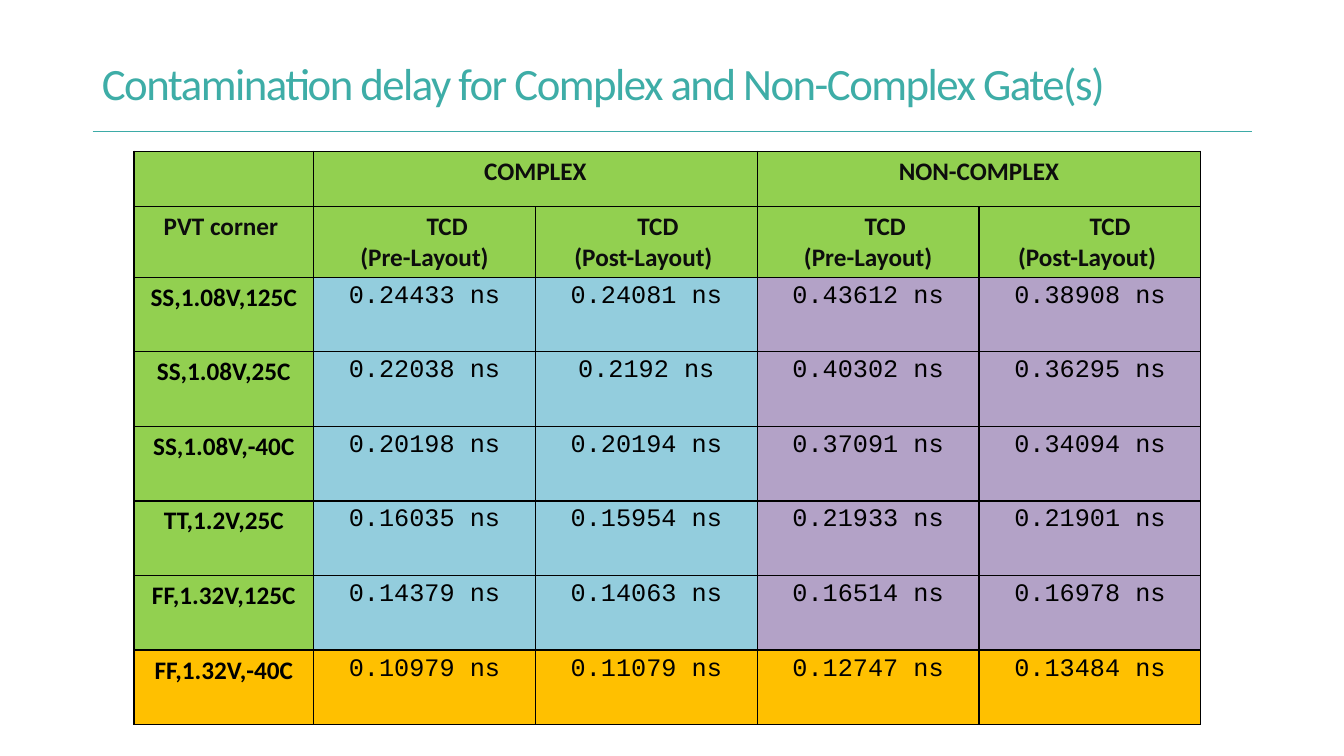
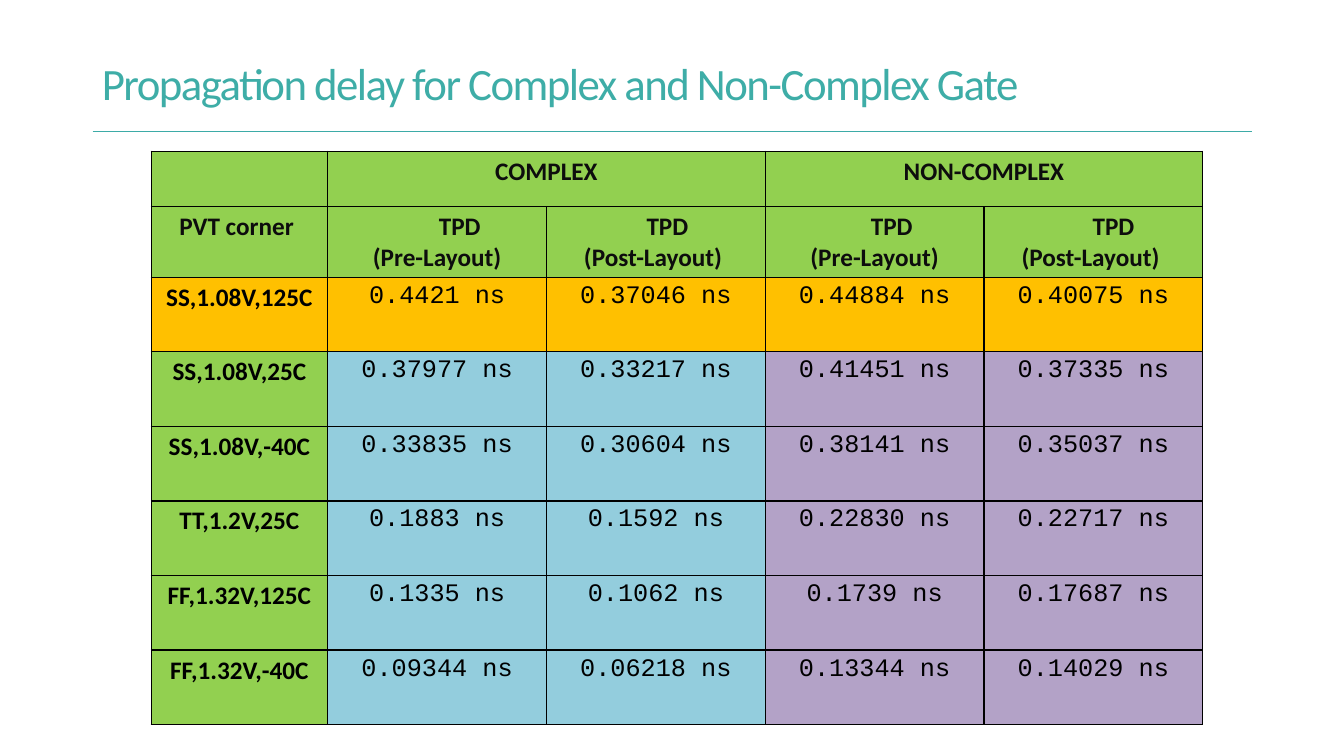
from dataclasses import dataclass

from lxml.etree import SubElement
from pptx import Presentation
from pptx.dml.color import RGBColor as Color
from pptx.enum.shapes import MSO_CONNECTOR as Link
from pptx.enum.text import MSO_AUTO_SIZE as Auto, PP_ALIGN as Align
from pptx.oxml import parse_xml
from pptx.oxml.ns import nsdecls, qn
from pptx.slide import Slide
from pptx.table import Table, _Cell as Cell
from pptx.util import Inches, Pt

TEAL, RULE, DARK, BLACK = "3EADA7", "3DABA7", "0D0D0D", "000000"
GREEN, BLUE, LILAC, GOLD = "92D050", "93CDDD", "B3A2C7", "FFC000"
SANS, MONO = "Calibri", "Courier New"
HEIGHTS = [0.55, 0.7] + [0.74] * 6
FILLS = [GREEN, BLUE, BLUE, LILAC, LILAC]
CORNERS = ["SS,1.08V,125C", "SS,1.08V,25C", "SS,1.08V,-40C",
           "TT,1.2V,25C", "FF,1.32V,125C", "FF,1.32V,-40C"]
STAGES = ["(Pre-Layout)", "(Post-Layout) "] * 2
INDENTS = [0.45, 0.23, 0.34, 0.4]


@dataclass
class Page:
    title: str
    delay: str
    left: float
    first: float
    other: float
    best: str
    rows: list[list[str]]


PAGES = [
    Page("Contamination delay for Complex and Non-Complex Gate(s)", "TCD",
         1.33, 1.78, 2.2, "FF,1.32V,-40C", [
             ["0.24433", "0.24081", "0.43612", "0.38908"],
             ["0.22038", "0.2192", "0.40302", "0.36295"],
             ["0.20198", "0.20194", "0.37091", "0.34094"],
             ["0.16035", "0.15954", "0.21933", "0.21901"],
             ["0.14379", "0.14063", "0.16514", "0.16978"],
             ["0.10979", "0.11079", "0.12747", "0.13484"]]),
    Page("Propagation delay for Complex and Non-Complex Gate", "TPD",
         1.5, 1.75, 2.17, "SS,1.08V,125C", [
             ["0.4421", "0.37046", "0.44884", "0.40075"],
             ["0.37977", "0.33217", "0.41451", "0.37335"],
             ["0.33835", "0.30604", "0.38141", "0.35037"],
             ["0.1883", "0.1592", "0.22830", "0.22717"],
             ["0.1335", "0.1062", "0.1739", "0.17687"],
             ["0.09344", "0.06218", "0.13344", "0.14029"]]),
]


def ink(code: str) -> Color:
    return Color.from_string(code)


def add_head(slide: Slide, title: str) -> None:
    rule = slide.shapes.add_connector(
        Link.STRAIGHT, Inches(0.92), Inches(1.3), Inches(12.42), Inches(1.3))
    rule.line.color.rgb = ink(RULE)
    rule.line.width = Pt(0.75)
    SubElement(rule.line._get_or_add_ln().getparent(), qn("a:effectLst"))

    box = slide.shapes.add_textbox(
        Inches(1), Inches(0.54), Inches(10.75), Inches(0.55))
    frame = box.text_frame
    frame.word_wrap = True
    frame.auto_size = Auto.SHAPE_TO_FIT_TEXT
    frame.margin_left = frame.margin_right = frame.margin_bottom = 0
    frame.margin_top = Inches(0.01)
    line = frame.paragraphs[0]
    line.space_before = Pt(1)
    line._p.get_or_add_pPr().set("marL", str(Inches(0.01)))
    run = line.add_run()
    run.text = title
    font = run.font
    font.name, font.size = SANS, Pt(32)
    font.color.rgb = ink(TEAL)
    run._r.get_or_add_rPr().set("spc", "-110")


def paint(cell: Cell, fill: str) -> None:
    cell.fill.solid()
    cell.fill.fore_color.rgb = ink(fill)
    props = cell._tc.get_or_add_tcPr()
    for spot, side in enumerate(("lnL", "lnR", "lnT", "lnB")):
        props.insert(spot, parse_xml(
            f'<a:{side} {nsdecls("a")} w="{Pt(1)}"><a:solidFill>'
            f'<a:srgbClr val="{BLACK}"/></a:solidFill></a:{side}>'))


def write(cell: Cell, text: str, code: str, face: str = SANS) -> None:
    cell.text_frame.text = text
    for line in cell.text_frame.paragraphs:
        line.alignment = Align.CENTER
        line.font.name, line.font.size = face, Pt(18)
        line.font.bold = face == SANS
        line.font.color.rgb = ink(code)


def fill_head(grid: Table, delay: str) -> None:
    for row in range(2):
        for col in range(5):
            paint(grid.cell(row, col), GREEN)
    for col, name in ((1, "COMPLEX"), (3, "NON-COMPLEX")):
        grid.cell(0, col).merge(grid.cell(0, col + 1))
        write(grid.cell(0, col), name, DARK)
    write(grid.cell(1, 0), "PVT corner ", DARK)
    for col, (stage, indent) in enumerate(zip(STAGES, INDENTS), 1):
        cell = grid.cell(1, col)
        write(cell, f"{delay}\n{stage}", DARK)
        props = cell.text_frame.paragraphs[0]._p.get_or_add_pPr()
        props.set("marL", str(Inches(indent)))


def add_grid(slide: Slide, page: Page) -> None:
    widths = [page.first] + [page.other] * 4
    grid = slide.shapes.add_table(
        len(HEIGHTS), len(widths), Inches(page.left), Inches(1.5),
        Inches(sum(widths)), Inches(sum(HEIGHTS))).table
    grid.first_row = grid.horz_banding = False
    for col, width in zip(grid.columns, widths):
        col.width = Inches(width)
    for row, height in zip(grid.rows, HEIGHTS):
        row.height = Inches(height)
    fill_head(grid, page.delay)
    for row, (corner, values) in enumerate(zip(CORNERS, page.rows), 2):
        texts = [corner] + [f"{value} ns" for value in values]
        for col, text in enumerate(texts):
            cell = grid.cell(row, col)
            paint(cell, GOLD if corner == page.best else FILLS[col])
            write(cell, text, BLACK, MONO if col else SANS)


def main() -> None:
    deck = Presentation()
    deck.slide_width, deck.slide_height = Inches(13.33), Inches(7.5)
    for page in PAGES:
        slide = deck.slides.add_slide(deck.slide_layouts[6])
        add_head(slide, page.title)
        add_grid(slide, page)
    deck.save("out.pptx")


if __name__ == "__main__":
    main()
